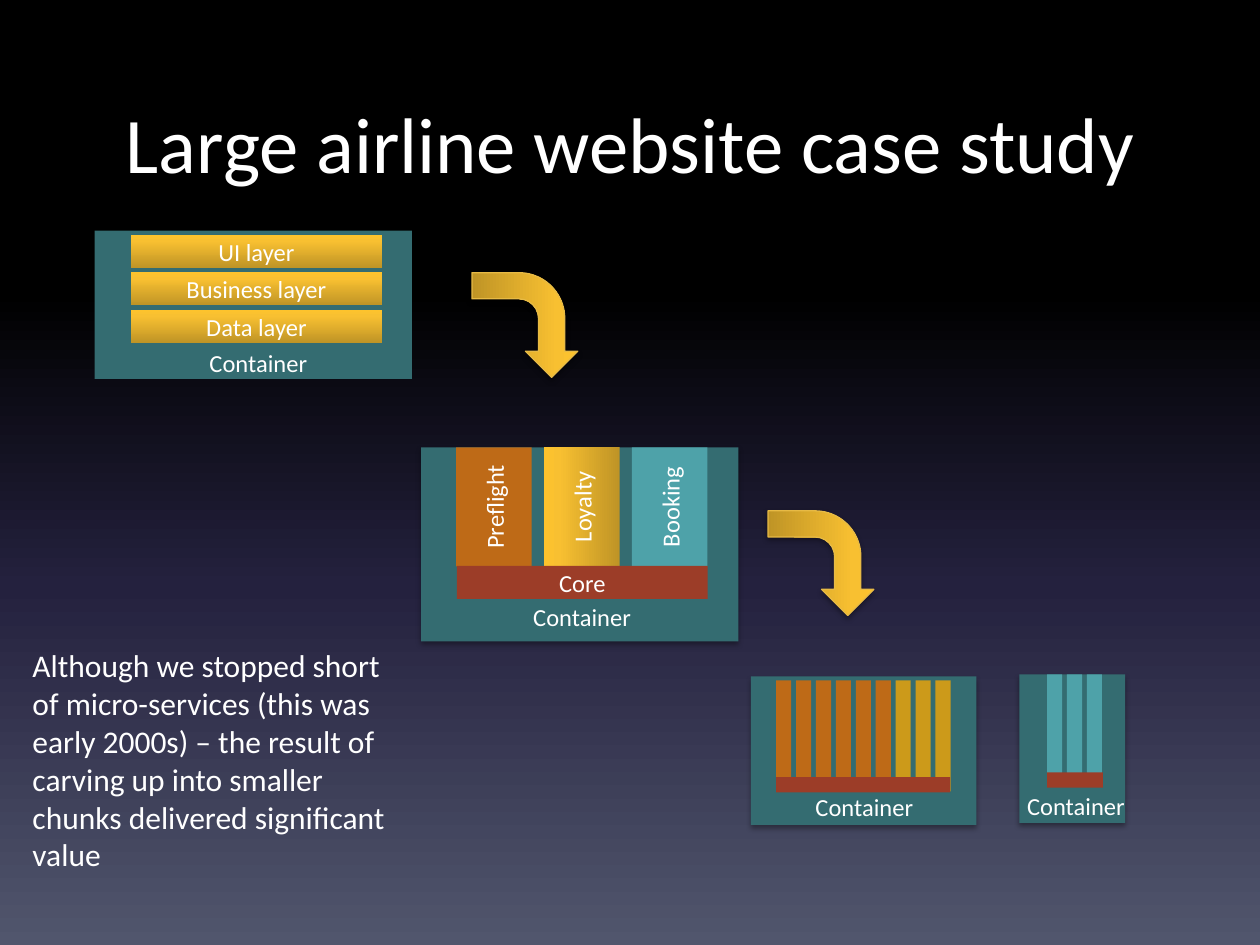
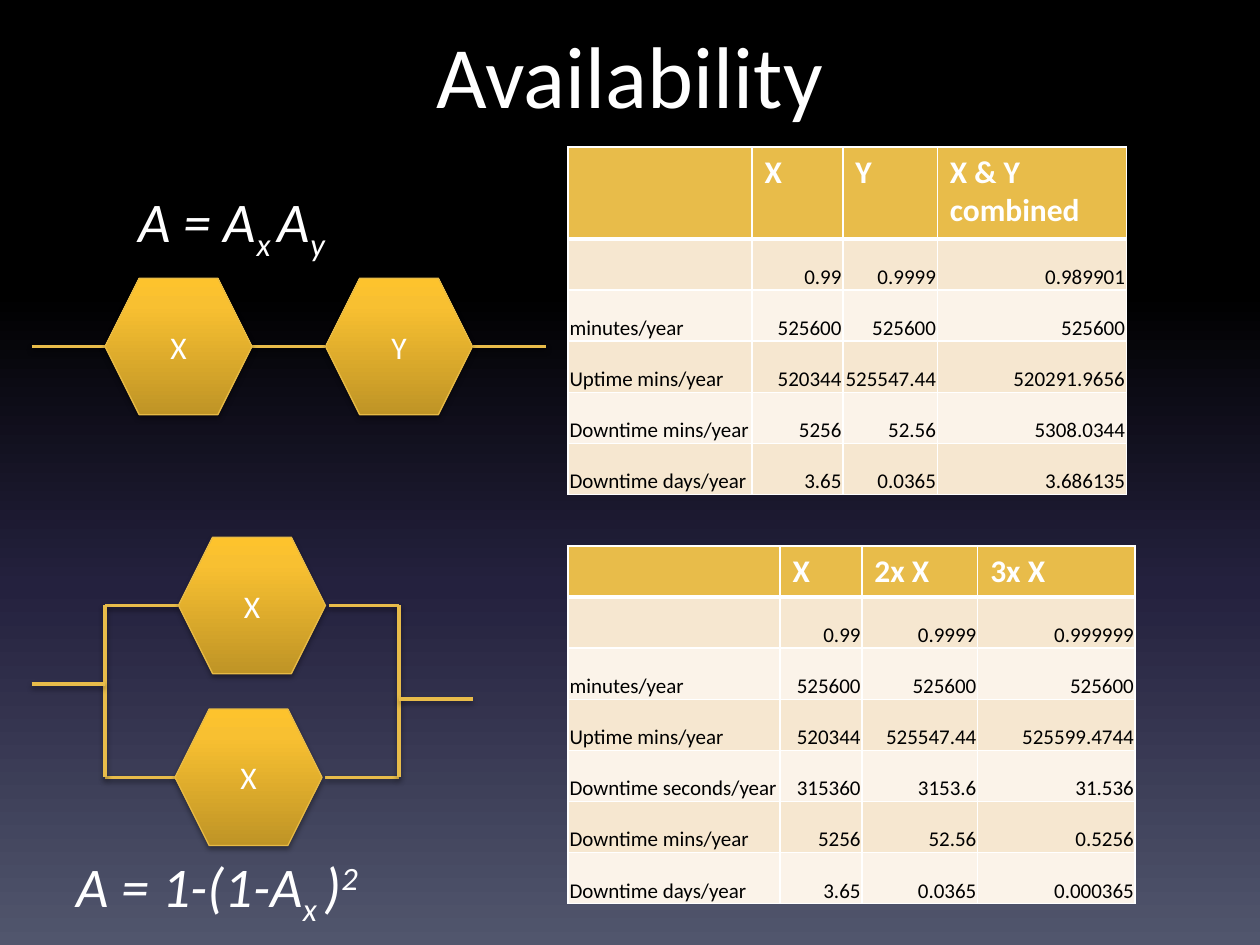
from dataclasses import dataclass
from typing import NamedTuple

from lxml.etree import SubElement
from pptx import Presentation
from pptx.dml.color import RGBColor
from pptx.enum.shapes import MSO_CONNECTOR, MSO_SHAPE
from pptx.enum.text import MSO_ANCHOR, PP_ALIGN
from pptx.oxml.ns import qn
from pptx.util import Pt

FONT = "Calibri"
WHITE = RGBColor(0xFF, 0xFF, 0xFF)
BLACK = RGBColor(0x00, 0x00, 0x00)
NAVY = RGBColor(0x24, 0x21, 0x3E)
SLATE = RGBColor(0x51, 0x56, 0x6D)
DARK_TEAL = RGBColor(0x34, 0x6C, 0x71)
TEAL = RGBColor(0x4E, 0xA2, 0xA9)
ORANGE = RGBColor(0xBE, 0x6A, 0x17)
OCHRE = RGBColor(0xCC, 0x9A, 0x1A)
BRICK = RGBColor(0x9C, 0x3D, 0x28)
OUTLINE = RGBColor(0xE7, 0xBA, 0x45)
AMBER = RGBColor(0xE8, 0xBC, 0x4A)
SAND = RGBColor(0xF6, 0xE7, 0xD0)
CREAM = RGBColor(0xFB, 0xF3, 0xE9)
NIGHT_STOPS = [(0, BLACK), (31, BLACK), (62, NAVY), (100, SLATE)]
GOLD_STOPS = [
    (0, RGBColor(0xBF, 0x94, 0x26)),
    (80, RGBColor(0xF8, 0xC0, 0x31)),
    (100, RGBColor(0xFD, 0xC3, 0x2D)),
]


class Box(NamedTuple):
    left: float
    top: float
    width: float
    height: float

    def points(self):
        return [Pt(v) for v in self]

    def turned(self):
        shift = (self.width - self.height) / 2
        return Box(self.left + shift, self.top - shift, self.height, self.width)


class Wire(NamedTuple):
    x1: float
    y1: float
    x2: float
    y2: float


@dataclass
class Container:
    box: Box
    label_left: float
    label_top: float
    shadow: bool = True


@dataclass
class Bars:
    left: float
    top: float
    colors: list[RGBColor]
    base: Box


@dataclass
class Grid:
    box: Box
    widths: list[float]
    header_height: float
    rows: list[list[str]]


def write(tf, text: str, *, size: float = 14, color: RGBColor = WHITE,
          bold: bool = False, italic: bool = False, align=PP_ALIGN.CENTER,
          baseline: int = 0) -> None:
    p = tf.paragraphs[0]
    p.alignment = align
    r = p.add_run()
    r.text = text
    r.font.name = FONT
    r.font.size = Pt(size)
    r.font.bold = bold
    r.font.italic = italic
    r.font.color.rgb = color
    if baseline:
        r._r.get_or_add_rPr().set("baseline", str(baseline * 1000))


def set_gradient(fill, root, stops: list, degrees: int) -> None:
    fill.gradient()
    grad = root.find(".//" + qn("a:gradFill"))
    gs_list = grad.find(qn("a:gsLst"))
    for gs in list(gs_list):
        gs_list.remove(gs)
    for position, color in stops:
        gs = SubElement(gs_list, qn("a:gs"), pos=str(position * 1000))
        SubElement(gs, qn("a:srgbClr"), val=str(color))
    grad.find(qn("a:lin")).set("ang", str(degrees * 60000))


def set_shadow(sp, alpha: int = 0, distance: float = 1.8) -> None:
    effects = SubElement(sp._element.spPr, qn("a:effectLst"))
    if alpha:
        shadow = SubElement(effects, qn("a:outerShdw"), blurRad=str(Pt(3.1)),
                            dist=str(Pt(distance)), dir="5400000", rotWithShape="0")
        color = SubElement(shadow, qn("a:srgbClr"), val=str(BLACK))
        SubElement(color, qn("a:alpha"), val=str(alpha * 1000))


def add_text_box(s, box: Box, anchor=MSO_ANCHOR.TOP):
    tf = s.shapes.add_textbox(*box.points()).text_frame
    tf.word_wrap = True
    tf.vertical_anchor = anchor
    return tf


def add_block(s, box: Box, color: RGBColor | None = None, text: str = "", *,
              kind=MSO_SHAPE.RECTANGLE, size: float = 14, rotation: float = 0,
              outline: bool = False, shadow: bool = False) -> None:
    sp = s.shapes.add_shape(kind, *box.points())
    sp.rotation = rotation
    if color is None:
        set_gradient(sp.fill, sp._element.spPr, GOLD_STOPS, 270)
    else:
        sp.fill.solid()
        sp.fill.fore_color.rgb = color
    if outline:
        sp.line.color.rgb = OUTLINE
        sp.line.width = Pt(0.75)
    else:
        sp.line.fill.background()
    set_shadow(sp, 35 if shadow else 0)
    if text:
        sp.text_frame.vertical_anchor = MSO_ANCHOR.MIDDLE
        write(sp.text_frame, text, size=size)


def add_wire(s, wire: Wire) -> None:
    line = s.shapes.add_connector(MSO_CONNECTOR.STRAIGHT, *[Pt(v) for v in wire])
    line.line.color.rgb = AMBER
    line.line.width = Pt(2)
    set_shadow(line, 38, 1.6)


def add_container(s, container: Container) -> None:
    add_block(s, container.box, DARK_TEAL, shadow=container.shadow)
    label = Box(container.label_left, container.label_top, 96.5, 24.5)
    write(add_text_box(s, label), "Container")


def add_bars(s, bars: Bars) -> None:
    for i, color in enumerate(bars.colors):
        add_block(s, Box(bars.left + 11.38 * i, bars.top, 8.64, 63.4), color)
    add_block(s, bars.base, BRICK)


def add_formula(s, box: Box, parts: list[tuple[str, int]]) -> None:
    tf = add_text_box(s, box)
    for text, baseline in parts:
        write(tf, text, size=32, italic=True, align=PP_ALIGN.LEFT, baseline=baseline)


def set_borders(cell, top: float, bottom: float) -> None:
    tc_pr = cell._tc.get_or_add_tcPr()
    sides = [("a:lnL", 1), ("a:lnR", 1), ("a:lnT", top), ("a:lnB", bottom)]
    for i, (tag, width) in enumerate(sides):
        ln = SubElement(tc_pr, qn(tag), w=str(Pt(width)))
        SubElement(SubElement(ln, qn("a:solidFill")), qn("a:srgbClr"), val=str(WHITE))
        tc_pr.insert(i, ln)


def add_grid(s, grid: Grid) -> None:
    shape = s.shapes.add_table(len(grid.rows), len(grid.widths), *grid.box.points())
    table = shape.table
    table.horz_banding = False
    for column, width in zip(table.columns, grid.widths):
        column.width = Pt(width)
    for i, values in enumerate(grid.rows):
        table.rows[i].height = Pt(29.2 if i else grid.header_height)
        for j, value in enumerate(values):
            cell = table.cell(i, j)
            cell.fill.solid()
            cell.fill.fore_color.rgb = (SAND if i % 2 else CREAM) if i else AMBER
            set_borders(cell, 3 if i == 1 else 1, 1 if i else 3)
            if i and value:
                cell.vertical_anchor = MSO_ANCHOR.BOTTOM
                cell.margin_left = cell.margin_right = cell.margin_top = Pt(0.75)
                cell.margin_bottom = 0
                align = PP_ALIGN.RIGHT if j else PP_ALIGN.LEFT
                write(cell.text_frame, value, size=12, color=BLACK, align=align)
            elif value:
                write(cell.text_frame, value, size=18, bold=True, align=PP_ALIGN.LEFT)


def add_slide(prs, title: str, box: Box, size: float):
    s = prs.slides.add_slide(prs.slide_layouts[6])
    set_gradient(s.background.fill, s._element, NIGHT_STOPS, 90)
    write(add_text_box(s, box, MSO_ANCHOR.MIDDLE), title, size=size)
    return s


def build_case_study(prs) -> None:
    s = add_slide(prs, "Large airline website case study", Box(36, 36, 648, 90), 45)
    for container in (
        Container(Box(54, 131.8, 181.4, 84.8), 99.4, 195.1, shadow=False),
        Container(Box(240.6, 255.6, 181.4, 110.9), 284.4, 340.6),
        Container(Box(429.1, 386.6, 128.9, 84.8), 445.7, 448.9),
        Container(Box(582.5, 385.4, 60.5, 84.8), 566.6, 448.6),
    ):
        add_container(s, container)

    for i, layer in enumerate(("UI layer", "Business layer", "Data layer")):
        add_block(s, Box(74.9, 134.1 + 21.5 * i, 143.3, 18.9), text=layer)

    pillars = (("Preflight", ORANGE), ("Loyalty", None), ("Booking", TEAL))
    for i, (pillar, color) in enumerate(pillars):
        box = Box(260.7 + 50.2 * i, 255.6, 43.2, 68)
        add_block(s, box.turned(), color, pillar, rotation=270)
    add_block(s, Box(261.1, 323.4, 143.3, 18.9), BRICK, "Core")

    add_bars(s, Bars(443.5, 388.8, [ORANGE] * 6 + [OCHRE] * 3,
                     Box(443.5, 444.1, 99.4, 8.64)))
    add_bars(s, Bars(598.3, 385.4, [TEAL] * 3, Box(598.3, 441.4, 31.9, 8.64)))

    for left, top in ((270, 155.5), (439.2, 291.6)):
        add_block(s, Box(left, top, 59.8, 60.5), kind=MSO_SHAPE.BENT_ARROW,
                  rotation=90, outline=True, shadow=True)

    write(add_text_box(s, Box(11.5, 365.8, 226.1, 138.2)),
          "Although we stopped short of micro-services (this was early 2000s) – "
          "the result of carving up into smaller chunks delivered significant value",
          size=18, align=PP_ALIGN.LEFT)


def build_availability(prs) -> None:
    s = add_slide(prs, "Availability", Box(36, 0, 648, 84), 50)
    for wire in (
        Wire(18, 198, 60, 198),
        Wire(144, 198, 186, 198),
        Wire(270, 198, 312, 198),
        Wire(60, 346, 102, 346),
        Wire(60, 444.2, 100, 444.2),
        Wire(60, 346, 60, 444.2),
        Wire(18, 391, 60, 391),
        Wire(188, 346, 228, 346),
        Wire(186, 444.2, 228, 444.2),
        Wire(228, 346, 228, 444.2),
        Wire(228, 399.5, 270, 399.5),
    ):
        add_wire(s, wire)
    for left, top, name in ((60, 159, "X"), (186, 159, "Y"),
                            (102, 307, "X"), (100, 405.2, "X")):
        add_block(s, Box(left, top, 84, 78), text=name, kind=MSO_SHAPE.HEXAGON,
                  size=18, outline=True, shadow=True)

    add_formula(s, Box(72, 103, 187.2, 46),
                [("A = A", 0), ("x\N{NO-BREAK SPACE}", -25), ("A", 0), ("y", -25)])
    add_formula(s, Box(36.7, 483.1, 198, 46),
                [("A = 1-(1-A", 0), ("x\N{NO-BREAK SPACE}", -25), (")", 0), ("2", 30)])

    add_grid(s, Grid(Box(324.7, 84, 319, 198.6), [105.1, 51.8, 54, 108], 52.6, [
        ["", "X", "Y", "X & Y combined"],
        ["", "0.99", "0.9999", "0.989901"],
        ["minutes/year", "525600", "525600", "525600"],
        ["Uptime mins/year", "520344", "525547.44", "520291.9656"],
        ["Downtime mins/year", "5256", "52.56", "5308.0344"],
        ["Downtime days/year", "3.65", "0.0365", "3.686135"],
    ]))
    add_grid(s, Grid(Box(324.7, 312, 324, 204.4), [121, 46.8, 66.2, 90], 29.2, [
        ["", "X", "2x X", "3x X"],
        ["", "0.99", "0.9999", "0.999999"],
        ["minutes/year", "525600", "525600", "525600"],
        ["Uptime mins/year", "520344", "525547.44", "525599.4744"],
        ["Downtime seconds/year", "315360", "3153.6", "31.536"],
        ["Downtime mins/year", "5256", "52.56", "0.5256"],
        ["Downtime days/year", "3.65", "0.0365", "0.000365"],
    ]))


def main() -> None:
    prs = Presentation()
    prs.slide_width = Pt(720)
    prs.slide_height = Pt(540)
    build_case_study(prs)
    build_availability(prs)
    prs.save("out.pptx")


if __name__ == "__main__":
    main()
